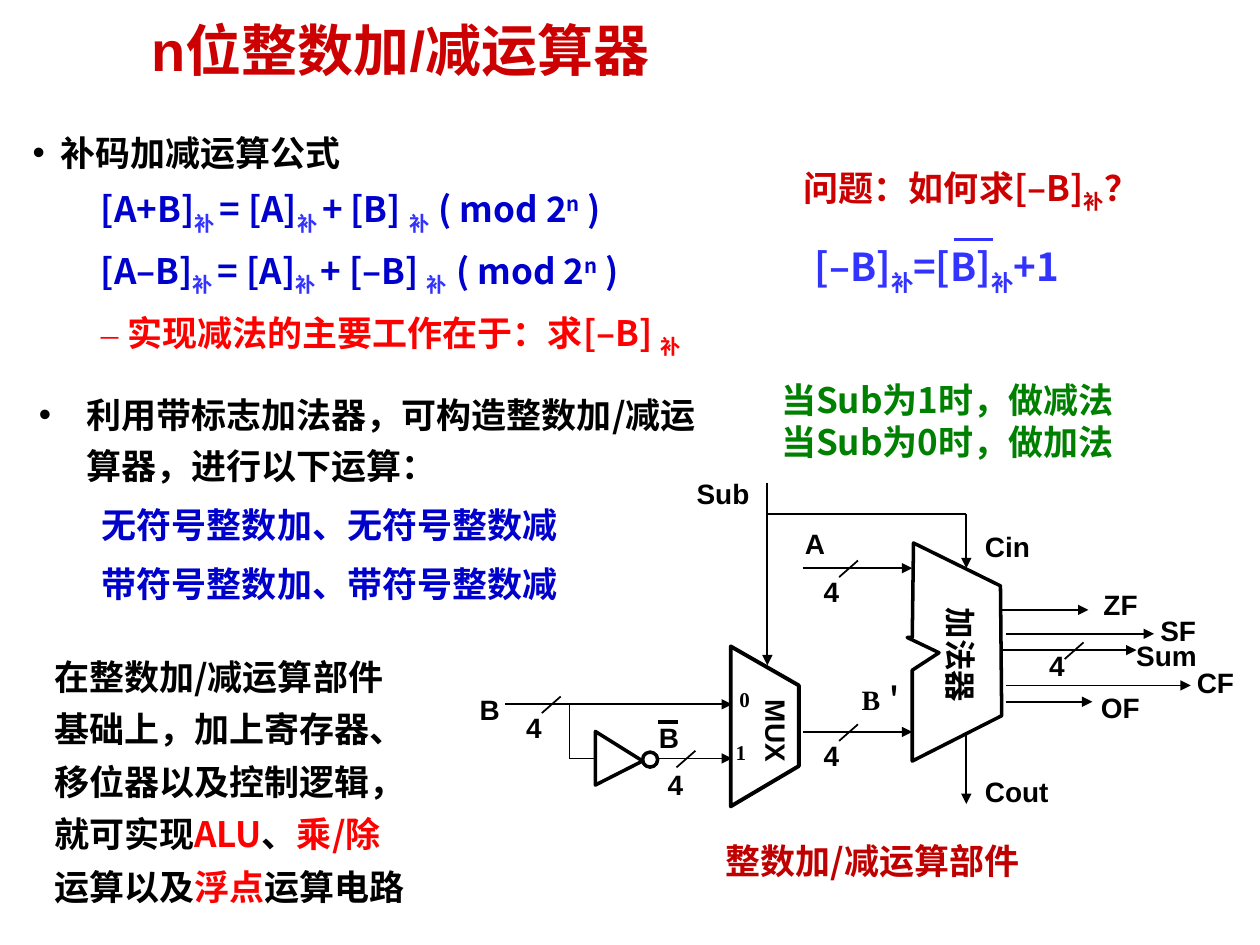
from lxml.etree import SubElement
from pptx import Presentation
from pptx.dml.color import RGBColor
from pptx.enum.shapes import MSO_CONNECTOR as CONN, MSO_SHAPE as SHAPE
from pptx.enum.text import MSO_ANCHOR as ANCHOR, MSO_AUTO_SIZE as AUTO, PP_ALIGN as ALIGN
from pptx.oxml.ns import qn
from pptx.util import Pt

CJK, ARIAL, TIMES = "Noto Sans CJK SC", "Arial", "Times New Roman"
BLACK, BLUE, LIGHT_BLUE, RED = "000000", "0000CC", "3333FF", "FF0000"
DARK_RED, BRICK, GREEN = "CC0000", "C00000", "008000"
SUB, SUP = -25, 30


def rgb(value):
    return RGBColor.from_string(value)


def set_all(obj, values):
    for name, value in values.items():
        setattr(obj, name, value)


def add_run(p, text, color, size, font, base=0):
    r = p.add_run()
    r.text = text
    set_all(r.font, {"name": font, "size": Pt(size), "bold": True})
    r.font.color.rgb = rgb(color)
    rpr = r.font._element
    if base:
        rpr.set("baseline", str(base * 1000))
    SubElement(rpr, qn("a:ea")).set("typeface", CJK)


def set_indent(p, margin, hanging, bullet):
    ppr = p._p.get_or_add_pPr()
    ppr.set("marL", str(Pt(margin)))
    ppr.set("indent", str(Pt(-hanging)))
    if bullet:
        SubElement(ppr, qn("a:buFont")).set("typeface", ARIAL if bullet == "•" else TIMES)
        SubElement(ppr, qn("a:buChar")).set("char", bullet)
    else:
        SubElement(ppr, qn("a:buNone"))


def fill_text(sp, paras, size=20, font=CJK, spacing=None, before=0,
              inset=(7.2, 3.6), wrap=True, anchor=ANCHOR.TOP):
    """Each paragraph is (runs, indent); a run is (text, color[, baseline])."""
    tf = sp.text_frame
    dx, dy = map(Pt, inset)
    set_all(tf, {"auto_size": AUTO.NONE, "word_wrap": wrap, "vertical_anchor": anchor,
                 "margin_left": dx, "margin_right": dx,
                 "margin_top": dy, "margin_bottom": dy})
    for i, (runs, indent) in enumerate(paras):
        p = tf.add_paragraph() if i else tf.paragraphs[0]
        set_all(p, {"alignment": ALIGN.LEFT, "line_spacing": spacing,
                    "space_before": Pt(before)})
        if indent:
            set_indent(p, *indent)
        for text, color, *base in runs:
            add_run(p, text, color, size, font, *base)


def add_text(slide, box, paras, **fmt):
    sp = slide.shapes.add_textbox(*map(Pt, box))
    fill_text(sp, paras, **fmt)
    return sp


def add_label(slide, text, x, y, w=23, h=26, size=16, font=ARIAL):
    return add_text(slide, (x, y, w, h), [([(text, BLACK)], None)],
                    size=size, font=font, wrap=False)


def add_line(slide, x1, y1, x2, y2, width=1, color=BLACK, arrow=False):
    ln = slide.shapes.add_connector(CONN.STRAIGHT, *map(Pt, (x1, y1, x2, y2)))
    ln.line.width = Pt(width)
    ln.line.color.rgb = rgb(color)
    if arrow:
        SubElement(ln.line._get_or_add_ln(), qn("a:tailEnd")).set("type", "triangle")
    SubElement(ln._element.spPr, qn("a:effectLst"))


def style_outline(sp, width):
    sp.shadow.inherit = False
    sp.fill.background()
    sp.line.width = Pt(width)
    sp.line.color.rgb = rgb(BLACK)


def add_outline(slide, points, width=2):
    start, *rest = [tuple(map(Pt, pt)) for pt in points]
    fb = slide.shapes.build_freeform(*start)
    fb.add_line_segments(rest, close=True)
    style_outline(fb.convert_to_shape(), width)


def add_bus_width(slide, x, y, dx=16, dy=5):
    """Slash across a wire, rising from (x, y), with the number of bits beside it."""
    add_line(slide, x, y, x + 10.8, y - 9.5)
    add_label(slide, "4", x - dx, y - dy)


def formula(left, right):
    return [(left, BLUE), ("补 ", LIGHT_BLUE, SUB), ("= [A]", BLUE),
            ("补 ", LIGHT_BLUE, SUB), (f"+ {right} ", BLUE),
            ("补  ", LIGHT_BLUE, SUB), ("( mod 2", BLUE), ("n", BLUE, SUP), (" )", BLUE)]


def add_title(slide):
    sp = slide.shapes.title
    set_all(sp, {"left": Pt(81.4), "top": Pt(12.2), "width": Pt(577.4), "height": Pt(47.5)})
    fill_text(sp, [([("n位整数加/减运算器", DARK_RED)], None)],
              size=32, font=ARIAL, spacing=0.87, inset=(5, 2.2))


def add_explanations(slide):
    sub = (54, 15, None)
    add_text(slide, (13.7, 69.1, 465.8, 128.9), [
        ([("补码加减运算公式", BLACK)], (16, 16, "•")),
        (formula("[A+B]", "[B]"), sub),
        (formula("[A–B]", "[–B]"), sub),
        ([("实现减法的主要工作在于：求[–B] ", RED), ("补", RED, SUB)], (54, 15, "–")),
    ], spacing=1.15, before=4, inset=(5, 2.2))
    sub = (58.3, 22.3, None)
    add_text(slide, (15.1, 216.7, 391, 203), [
        ([("利用带标志加法器，可构造整数加/减运算器，进行以下运算：", BLACK)], (27, 27, "•")),
        ([("无符号整数加、无符号整数减", BLUE)], sub),
        ([("带符号整数加、带符号整数减", BLUE)], sub),
    ], spacing=1.2, before=5)
    add_text(slide, (23.8, 365, 220.3, 157), [([
        ("在整数加/减运算部件基础上，加上寄存器、移位器以及控制逻辑，就可实现", BLACK),
        ("ALU", RED), ("、", BLACK), ("乘/除", RED), ("运算以及", BLACK),
        ("浮点", RED), ("运算电路", BLACK)], None)], spacing=1.25)
    add_text(slide, (452.2, 91.4, 226, 31), [([
        ("问题：如何求[–B]", DARK_RED), ("补", DARK_RED, SUB), ("？", DARK_RED)], None)])
    add_text(slide, (458.6, 135.4, 187.2, 33.8), [([
        ("[–B]", LIGHT_BLUE), ("补", LIGHT_BLUE, SUB), ("=[B]", LIGHT_BLUE),
        ("补", LIGHT_BLUE, SUB), ("+1", LIGHT_BLUE)], None)], size=22)
    add_line(slide, 545, 137, 567.4, 137, 1.5, LIGHT_BLUE)
    add_text(slide, (439.2, 212.4, 224.6, 55.4), [
        ([(f"当Sub为{bit}时，做{op}法", GREEN)], None) for bit, op in ((1, "减"), (0, "加"))
    ], anchor=ANCHOR.MIDDLE)
    add_text(slide, (407.5, 476, 188, 31), [([("整数加/减运算部件", BRICK)], None)])


def add_components(slide):
    adder = [(522, 310.3), (571.7, 334.8), (572.4, 409), (521.3, 434.9),
             (521.3, 383), (536.6, 373), (518.4, 364.3), (521.3, 364.3)]
    mux = [(417.6, 460.8), (456.5, 437.8), (456.5, 391.7), (417.6, 369.4)]
    inverter = [(340.2, 418), (340.2, 448.6), (367.2, 434.9)]
    add_outline(slide, adder)
    add_outline(slide, mux, 2.25)
    add_outline(slide, inverter)
    bubble = slide.shapes.add_shape(SHAPE.OVAL, *map(Pt, (367.2, 429.8, 8.6, 8.6)))
    style_outline(bubble, 2)
    for text, x, y, w, h, size in (("加法器", 510.5, 364.3, 77, 28.8, 18),
                                   ("MUX", 414, 409, 59, 26.6, 16)):
        add_label(slide, text, x, y, w, h, size).rotation = 90


def add_wires(slide):
    arrows = [
        (458.6, 324.7, 521.3, 324.7), (458.6, 418.3, 521.3, 418.3),  # A, B'
        (288.7, 402.5, 418.3, 402.5), (376.6, 433.4, 418.3, 433.4),  # B, inverted B
        (438.5, 275.8, 438.5, 380.2), (552.2, 293.8, 552.2, 324.7),  # Sub, Cin
        (552.2, 419, 552.2, 459.4), (573, 371.5, 649.4, 371.5),      # Cout, Sum
        (572.4, 348.5, 622, 348.5), (574.6, 401, 624.2, 401),        # ZF, OF
        (574.6, 362.2, 659.5, 362.2), (574.6, 391.7, 680.4, 391.7),  # SF, CF
    ]
    for ends in arrows:
        add_line(slide, *ends, arrow=True)
    add_line(slide, 438.5, 293.8, 552.2, 293.8)
    add_line(slide, 325.4, 402.5, 325.4, 433.4)
    add_line(slide, 325.4, 433.4, 339.8, 433.4)
    for bus in ((479.5, 329.8), (479.5, 423.4), (608.4, 376.6, 16, 9.5),
                (309.6, 407.5), (386.6, 438.5, 12.2, 3.6)):
        add_bus_width(slide, *bus)


def add_signal_names(slide):
    for text, x, y, w in (
            ("Sub", 391, 268.6, 44.6), ("A", 452.9, 297.4, 26), ("B", 267, 392.4, 26),
            ("B", 369.4, 408.2, 26), ("Cin", 555.8, 298.8, 40.3),
            ("Cout", 555.8, 439.2, 50.4), ("ZF", 623.5, 332, 33.8),
            ("SF", 656, 347, 42.5), ("Sum", 642.2, 361.4, 49), ("CF", 676.8, 376.6, 43),
            ("OF", 622, 391, 36.7)):
        add_label(slide, text, x, y, w)
    add_line(slide, 375.8, 412.6, 387.4, 412.6, 2.25)
    add_label(slide, "B＇", 485.3, 386.6, 49, font=TIMES)
    add_label(slide, "0", 415.4, 388.8, 20, 21.6, 12, TIMES)
    add_label(slide, "1", 413.3, 419, 20, 21.6, 12, TIMES)


def main():
    prs = Presentation()
    set_all(prs, {"slide_width": Pt(720), "slide_height": Pt(540)})
    slide = prs.slides.add_slide(prs.slide_layouts[5])
    add_title(slide)
    add_explanations(slide)
    add_components(slide)
    add_wires(slide)
    add_signal_names(slide)
    prs.save("out.pptx")


if __name__ == "__main__":
    main()
